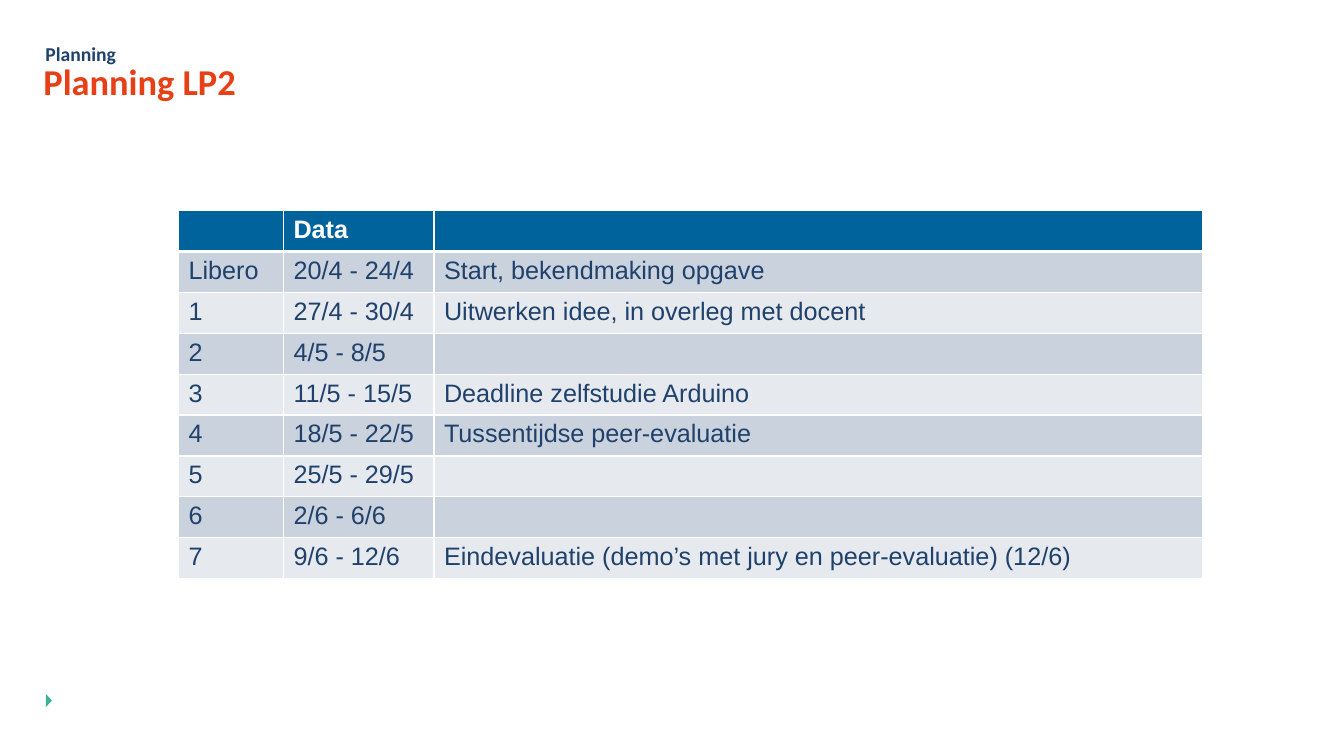
from lxml import etree
from pptx import Presentation
from pptx.dml.color import RGBColor
from pptx.enum.shapes import MSO_SHAPE
from pptx.enum.text import MSO_ANCHOR, MSO_AUTO_SIZE, PP_ALIGN
from pptx.oxml.ns import qn
from pptx.util import Pt

TRIANGLE = MSO_SHAPE.ISOSCELES_TRIANGLE
TOP = MSO_ANCHOR.TOP
BOTTOM = MSO_ANCHOR.BOTTOM
NO_AUTOFIT = MSO_AUTO_SIZE.NONE
LEFT = PP_ALIGN.LEFT

WHITE = RGBColor(0xFF, 0xFF, 0xFF)
ORANGE = RGBColor(0xE7, 0x3F, 0x16)
NAVY = RGBColor(0x1F, 0x41, 0x6B)
BLUE = RGBColor(0x00, 0x63, 0x9C)
GREEN = RGBColor(0x3C, 0xB4, 0x97)
BAND_DARK = RGBColor(0xCA, 0xD2, 0xDE)
BAND_LIGHT = RGBColor(0xE6, 0xEA, 0xEF)

COLUMN_WIDTHS = (75, 107.5, 549)
PLANNING = (
    ("", "Data", ""),
    ("Libero", "20/4 - 24/4", "Start, bekendmaking opgave"),
    ("1", "27/4 - 30/4", "Uitwerken idee, in overleg met docent"),
    ("2", "4/5 - 8/5", ""),
    ("3", "11/5 - 15/5", "Deadline zelfstudie Arduino"),
    ("4", "18/5 - 22/5", "Tussentijdse peer-evaluatie"),
    ("5", "25/5 - 29/5", ""),
    ("6", "2/6 - 6/6", ""),
    ("7", "9/6 - 12/6", "Eindevaluatie (demo’s met jury en peer-evaluatie) (12/6)"),
)


def set_attributes(target, values):
    for name, value in values.items():
        setattr(target, name, value)


def add_run(paragraph, text, font_name, size, color, bold):
    run = paragraph.add_run()
    run.text = text
    set_attributes(run.font, {"name": font_name, "size": Pt(size), "bold": bold})
    run.font.color.rgb = color


def fill_placeholder(placeholder, box, text, size, color, anchor, line_spacing):
    left, top, width, height = map(Pt, box)
    set_attributes(placeholder, {"left": left, "top": top, "width": width, "height": height})
    frame = placeholder.text_frame
    set_attributes(frame, {
        "margin_left": 0, "margin_top": 0, "margin_right": 0, "margin_bottom": 0,
        "word_wrap": True, "auto_size": NO_AUTOFIT, "vertical_anchor": anchor,
    })
    paragraph = frame.paragraphs[0]
    properties = paragraph._p.get_or_add_pPr()
    properties.set("marL", "0")
    properties.set("indent", "0")
    etree.SubElement(properties, qn("a:buNone"))
    set_attributes(paragraph, {
        "alignment": LEFT, "line_spacing": line_spacing, "space_before": Pt(0),
    })
    add_run(paragraph, text, "Calibri", size, color, True)


def add_header(slide, box):
    left, top, width, height = box
    title, subject = slide.placeholders[0], slide.placeholders[1]
    fill_placeholder(title, (left, top + 30.25, width, height - 30.25),
                     "Planning LP2", 26, ORANGE, TOP, 0.8)
    fill_placeholder(subject, (left + 1.4, top, 292, 29),
                     "Planning", 14, NAVY, BOTTOM, 1.0)


def add_border(cell, side, width):
    line = etree.SubElement(cell._tc.get_or_add_tcPr(), qn(f"a:ln{side}"), w=str(Pt(width)))
    fill = etree.SubElement(line, qn("a:solidFill"))
    etree.SubElement(fill, qn("a:srgbClr"), val=str(WHITE))


def format_cell(cell, text, row_index):
    is_header = row_index == 0
    border_widths = {"L": 1, "R": 1, "T": 3 if row_index == 1 else 1, "B": 3 if is_header else 1}
    for side, width in border_widths.items():
        add_border(cell, side, width)
    cell.fill.solid()
    band = BAND_DARK if row_index % 2 else BAND_LIGHT
    cell.fill.fore_color.rgb = BLUE if is_header else band
    if text:
        add_run(cell.text_frame.paragraphs[0], text, "Arial", 18,
                WHITE if is_header else NAVY, is_header)


def add_planning_table(slide, box):
    left, top, width, height = map(Pt, box)
    frame = slide.shapes.add_table(len(PLANNING), len(COLUMN_WIDTHS), left, top, width, height)
    table = frame.table
    for column, column_width in zip(table.columns, COLUMN_WIDTHS):
        column.width = Pt(column_width)
    for row_index, texts in enumerate(PLANNING):
        table.rows[row_index].height = Pt(box[3] / len(PLANNING))
        for column_index, text in enumerate(texts):
            format_cell(table.cell(row_index, column_index), text, row_index)


def add_footer_marker(slide, box):
    marker = slide.shapes.add_shape(TRIANGLE, *map(Pt, box))
    marker.rotation = 90
    marker.shadow.inherit = False
    marker.fill.solid()
    marker.fill.fore_color.rgb = GREEN
    marker.line.fill.background()


def main():
    presentation = Presentation()
    set_attributes(presentation, {"slide_width": Pt(960), "slide_height": Pt(540)})
    slide = presentation.slides.add_slide(presentation.slide_layouts[1])
    add_footer_marker(slide, (30.25, 498.25, 9.35, 4.3))
    add_header(slide, (31, 18, 828, 84.25))
    add_planning_table(slide, (127.5, 150.5, sum(COLUMN_WIDTHS), 262.8))
    presentation.save("out.pptx")


if __name__ == "__main__":
    main()
